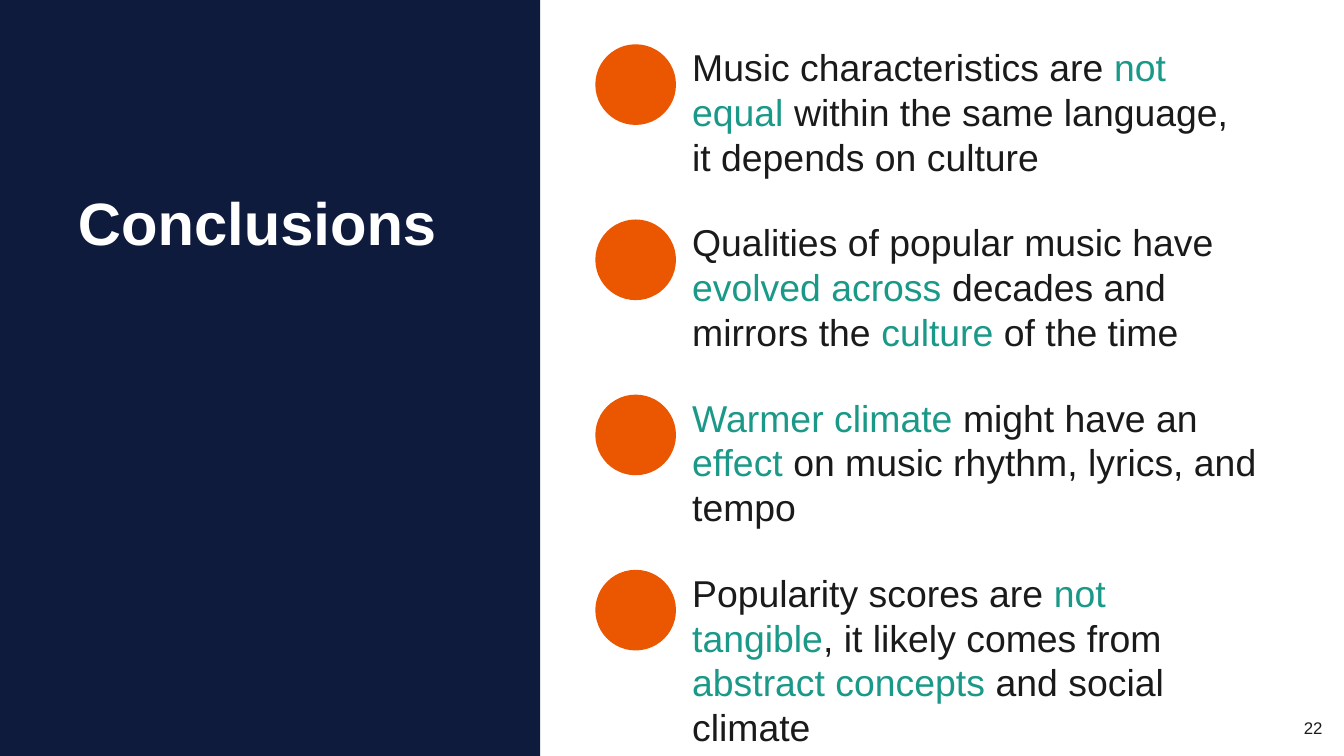
from dataclasses import dataclass

from pptx import Presentation
from pptx.dml.color import RGBColor
from pptx.enum.shapes import MSO_SHAPE as Preset
from pptx.enum.text import MSO_ANCHOR as Anchor, MSO_AUTO_SIZE as AutoSize, PP_ALIGN as Align
from pptx.util import Inches, Pt


@dataclass(frozen=True)
class Theme:
    font: str = "Arial"
    navy: str = "0E1B3C"
    orange: str = "EB5600"
    teal: str = "1A9988"
    ink: str = "1A1A1A"
    white: str = "FFFFFF"
    title_size: int = 32
    body_size: int = 20
    number_size: int = 9
    leading: float = 1.2


THEME = Theme()
WIDTH = 10
HEIGHT = WIDTH * 9 / 16
PANEL_WIDTH = 4.02
FIRST_ROW, LAST_ROW = 0.33, 4.24
DOT_LEFT, DOT_SIZE = 4.43, 0.6
TEXT_LEFT, TEXT_WIDTH, TEXT_HEIGHT = 5.15, 4.21, 1.01
TIGHT_INSET = 0.04

# Each conclusion is a right inset and a list of (wording, highlighted) pieces.
CONCLUSIONS = [
    (TIGHT_INSET, [("Music characteristics are ", False), ("not equal", True),
                   (" within the same language, it depends on culture", False)]),
    (0, [("Qualities of popular music have ", False), ("evolved across ", True),
         ("decades and mirrors the ", False), ("culture", True),
         (" of the time", False)]),
    (0, [("Warmer climate", True), (" might have an ", False), ("effect", True),
         (" on music rhythm, lyrics, and tempo", False)]),
    (TIGHT_INSET, [("Popularity scores are ", False), ("not tangible", True),
                   (", it likely comes from ", False), ("abstract concepts", True),
                   (" and social climate", False)]),
]


def inches(*lengths):
    return [Inches(length) for length in lengths]


def add_filled_shape(shapes, preset, place, color):
    shape = shapes.add_shape(preset, *inches(*place))
    shape.shadow.inherit = False
    shape.fill.solid()
    shape.fill.fore_color.rgb = RGBColor.from_string(color)
    shape.line.fill.background()
    return shape


def write_text(box, pieces, size, bold=False, align=Align.LEFT, anchor=Anchor.TOP,
               right_inset=0):
    """Fill a box with one paragraph of (wording, color) pieces."""
    frame = box.text_frame
    frame.word_wrap = True
    frame.auto_size = AutoSize.SHAPE_TO_FIT_TEXT
    frame.vertical_anchor = anchor
    frame.margin_left = frame.margin_top = frame.margin_bottom = 0
    frame.margin_right = Inches(right_inset)
    para = frame.paragraphs[0]
    para.alignment = align
    para.line_spacing = Pt(size * THEME.leading)
    for wording, color in pieces:
        span = para.add_run()
        span.text = wording
        span.font.name = THEME.font
        span.font.size = Pt(size)
        span.font.bold = bold
        span.font.color.rgb = RGBColor.from_string(color)


def add_title_panel(page):
    title = page.shapes.title
    title.left, title.top, title.width, title.height = inches(0.58, 1.38, 2.81, 0.54)
    write_text(title, [("Conclusions", THEME.white)], THEME.title_size, bold=True)
    panel = add_filled_shape(page.shapes, Preset.RECTANGLE,
                             (0, 0, PANEL_WIDTH, HEIGHT), THEME.navy)
    title.element.addprevious(panel.element)


def add_conclusion(page, top, pieces, right_inset):
    group = page.shapes.add_group_shape()
    box = group.shapes.add_textbox(*inches(TEXT_LEFT, top, TEXT_WIDTH, TEXT_HEIGHT))
    colored = [(wording, THEME.teal if highlighted else THEME.ink)
               for wording, highlighted in pieces]
    write_text(box, colored, THEME.body_size, right_inset=right_inset)
    add_filled_shape(group.shapes, Preset.OVAL,
                     (DOT_LEFT, top, DOT_SIZE, DOT_SIZE), THEME.orange)


def add_page_number(page, number):
    box = page.shapes.add_textbox(*inches(9.48, 5.34, 0.36, 0.15))
    write_text(box, [(number, THEME.ink)], THEME.number_size,
               align=Align.RIGHT, anchor=Anchor.BOTTOM)


def main():
    deck = Presentation()
    deck.slide_width, deck.slide_height = inches(WIDTH, HEIGHT)
    page = deck.slides.add_slide(deck.slide_layouts.get_by_name("Title Only"))
    add_title_panel(page)
    pitch = (LAST_ROW - FIRST_ROW) / (len(CONCLUSIONS) - 1)
    for row, (right_inset, pieces) in enumerate(CONCLUSIONS):
        add_conclusion(page, FIRST_ROW + row * pitch, pieces, right_inset)
    add_page_number(page, "22")
    deck.save("out.pptx")


if __name__ == "__main__":
    main()
